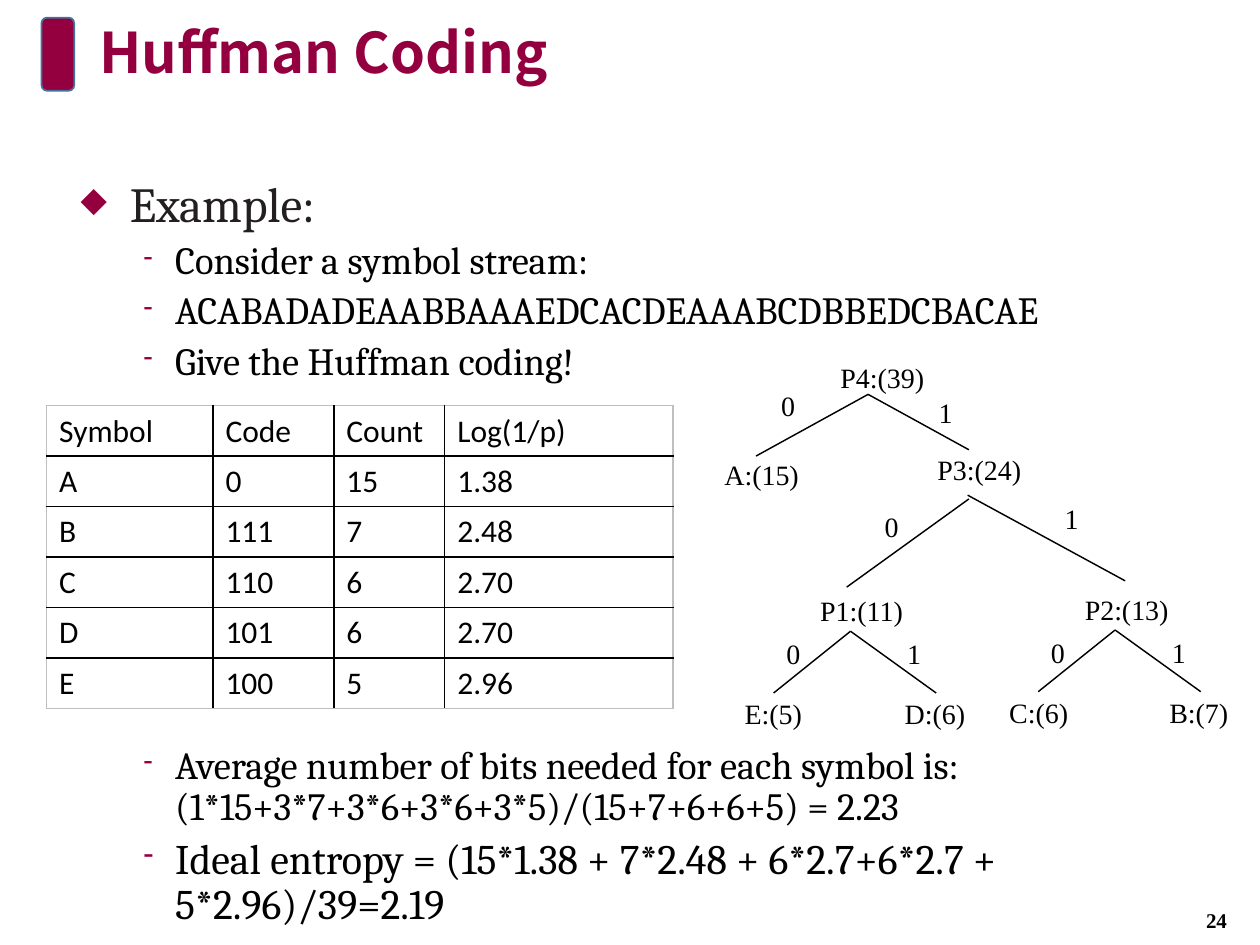
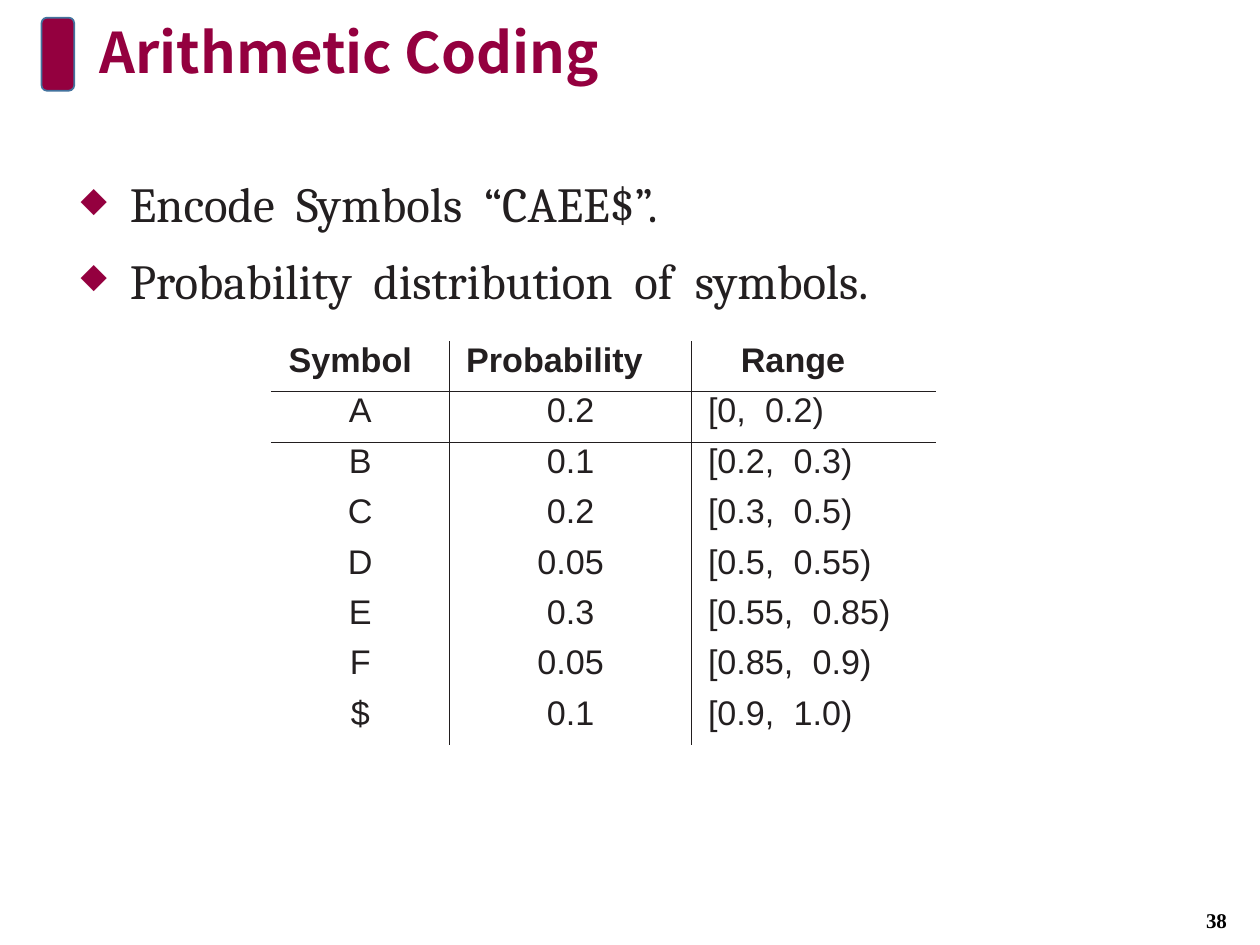
import dataclasses

import pptx
import pptx.dml.color
import pptx.enum.shapes
import pptx.enum.text
import pptx.oxml
import pptx.oxml.ns
import pptx.util
from pptx.util import Inches

ALIGN = pptx.enum.text.PP_ALIGN
ANCHOR = pptx.enum.text.MSO_ANCHOR


@dataclasses.dataclass(frozen=True)
class TextStyle:
    font: str
    size: float
    color: str
    bold: bool = False


@dataclasses.dataclass(frozen=True)
class Line:
    color: str
    width: float


class Theme:
    accent = "94003F"
    tab_line = Line("43739E", 1)
    tree_line = Line("000000", 0.81)
    grid_line = Line("000000", 1)
    frame_line = Line("BFBFBF", 1)
    rule_line = Line("221E1F", 0.6)
    title = TextStyle("Noto Sans CJK SC", 32, accent, True)
    page_number = TextStyle("Times New Roman", 12, "000000", True)
    heading = TextStyle("Cambria", 28, "231F20")
    detail = TextStyle("Cambria", 22, "000000")
    result = TextStyle("Cambria", 24, "000000")
    tree = TextStyle("Times New Roman", 16, "000000")
    code_cell = TextStyle("Calibri", 18, "000000")
    range_head = TextStyle("Arial", 19.5, "231F20", True)
    range_cell = TextStyle("Arial", 19.5, "231F20")
    heading_gap = 6.2
    range_gap = 5.4


def rgb(color):
    return pptx.dml.color.RGBColor.from_string(color)


def set_line(line, look):
    line.color.rgb = rgb(look.color)
    line.width = pptx.util.Pt(look.width)


def add_span(para, text, style, spacing=0):
    span = para.add_run()
    span.text = text
    span.font.name = style.font
    span.font.size = pptx.util.Pt(style.size)
    span.font.bold = style.bold
    span.font.color.rgb = rgb(style.color)
    if spacing:
        span._r.get_or_add_rPr().set("spc", str(round(spacing * 100)))


def add_words(para, text, style, gap=0):
    """Add text whose word spaces are widened by gap points."""
    if not gap:
        add_span(para, text, style)
        return
    for index, word in enumerate(text.split()):
        if index:
            add_span(para, " ", style, gap)
        add_span(para, word, style)


def add_box(page, left, top, width, height, inset=True, wrap=True):
    box = page.shapes.add_textbox(Inches(left), Inches(top), Inches(width), Inches(height))
    frame = box.text_frame
    frame.word_wrap = wrap
    if not inset:
        frame.margin_left = frame.margin_right = frame.margin_top = frame.margin_bottom = 0
    return frame


def set_indent(para, left, first=0):
    props = para._p.get_or_add_pPr()
    props.set("marL", str(Inches(left)))
    props.set("indent", str(Inches(first)))
    return props


def add_bullets(page, top, height, items):
    """Add (level, text, style, word gap) items as one bulleted box."""
    frame = add_box(page, 0.64, top, 8.48, height, inset=False)
    for index, (level, text, style, gap) in enumerate(items):
        para = frame.add_paragraph() if index else frame.paragraphs[0]
        para.level = level
        para.space_before = pptx.util.Pt(5 if level else 10)
        if level:
            para.line_spacing = 0.9
        props = set_indent(para, *((0.75, -0.25) if level else (0.39, -0.39)))
        namespace = pptx.oxml.ns.nsdecls("a")
        for markup in (
            f'<a:buClr {namespace}><a:srgbClr val="{Theme.accent}"/></a:buClr>',
            f'<a:buSzPct {namespace} val="70000"/>',
            f'<a:buChar {namespace} char="{"-" if level else "◆"}"/>',
        ):
            props.append(pptx.oxml.parse_xml(markup))
        add_words(para, text, style, gap)


def add_page(deck, title, number):
    page = deck.slides.add_slide(deck.slide_layouts[6])
    tab = page.shapes.add_shape(
        pptx.enum.shapes.MSO_SHAPE.ROUNDED_RECTANGLE,
        Inches(0.33), Inches(0.14), Inches(0.26), Inches(0.58))
    tab.shadow.inherit = False
    tab.fill.solid()
    tab.fill.fore_color.rgb = rgb(Theme.accent)
    set_line(tab.line, Theme.tab_line)

    frame = add_box(page, 0.69, 0.15, 8.62, 0.58)
    frame.vertical_anchor = ANCHOR.MIDDLE
    frame.paragraphs[0].line_spacing = 0.9
    add_span(frame.paragraphs[0], title, Theme.title)

    frame = add_box(page, 9.23, 7.1, 0.85, 0.4)
    frame.vertical_anchor = ANCHOR.MIDDLE
    frame.paragraphs[0].alignment = ALIGN.CENTER
    add_span(frame.paragraphs[0], str(number), Theme.page_number)
    return page


def add_tree_label(page, text, left, top):
    frame = add_box(page, left + 0.01, top, 0.11 * len(text), 0.28, inset=False, wrap=False)
    add_span(frame.paragraphs[0], text, Theme.tree)


def add_branch(page, start, end):
    branch = page.shapes.add_connector(
        pptx.enum.shapes.MSO_CONNECTOR.STRAIGHT, *map(Inches, start + end))
    set_line(branch.line, Theme.tree_line)
    effects = f'<a:effectLst {pptx.oxml.ns.nsdecls("a")}/>'
    branch._element.spPr.append(pptx.oxml.parse_xml(effects))


def add_leaf_pair(page, left, top, parent, zero_leaf, one_leaf):
    """Add a node with its two leaves; left and top place the node label."""
    peak = (left + 0.25, top + 0.3)
    for text, across, down in (
        (parent, 0, 0), ("0", -0.27, 0.34), ("1", 0.69, 0.34),
        (zero_leaf, -0.6, 0.82), (one_leaf, 0.67, 0.82),
    ):
        add_tree_label(page, text, left + across, top + down)
    for across in (-0.61, 0.68):
        add_branch(page, peak, (peak[0] + across, peak[1] + 0.49))


def add_huffman_tree(page):
    for start, end in (
        ((6.89, 3.13), (6, 3.62)), ((6.89, 3.13), (7.69, 3.57)),
        ((7.69, 3.96), (6.72, 4.66)), ((7.68, 3.93), (8.93, 4.61)),
    ):
        add_branch(page, start, end)
    for text, left, top in (
        ("P4:(39)", 6.66, 2.86), ("0", 6.19, 3.08), ("1", 7.44, 3.14),
        ("A:(15)", 5.74, 3.63), ("P3:(24)", 7.43, 3.59),
        ("0", 7.01, 4.04), ("1", 8.44, 3.98),
    ):
        add_tree_label(page, text, left, top)
    add_leaf_pair(page, 6.5, 4.71, "P1:(11)", "E:(5)", "D:(6)")
    add_leaf_pair(page, 8.6, 4.7, "P2:(13)", "C:(6)", "B:(7)")


def set_borders(cell, sides):
    """Set left, right, top and bottom lines; None leaves a side open."""
    props = cell._tc.get_or_add_tcPr()
    namespace = pptx.oxml.ns.nsdecls("a")
    for index, (side, look) in enumerate(zip("LRTB", sides)):
        width, paint = 0, "<a:noFill/>"
        if look:
            width = pptx.util.Pt(look.width)
            paint = f'<a:solidFill><a:srgbClr val="{look.color}"/></a:solidFill>'
        markup = f'<a:ln{side} {namespace} w="{width}">{paint}</a:ln{side}>'
        props.insert(index, pptx.oxml.parse_xml(markup))


def add_grid(page, left, top, widths, row_height, rows, uprights, levels, write_cell):
    """Add a table; uprights and levels hold the line at each grid edge."""
    table = page.shapes.add_table(
        len(rows), len(widths), Inches(left), Inches(top),
        Inches(sum(widths)), Inches(row_height * len(rows))).table
    table.first_row = table.horz_banding = False
    for column, width in zip(table.columns, widths):
        column.width = Inches(width)
    for r, row in enumerate(rows):
        table.rows[r].height = Inches(row_height)
        for c, text in enumerate(row):
            cell = table.cell(r, c)
            cell.fill.background()
            set_borders(cell, (uprights[c], uprights[c + 1], levels[r], levels[r + 1]))
            write_cell(cell, r, c, text)


def write_code_cell(cell, row, column, text):
    add_span(cell.text_frame.paragraphs[0], text, Theme.code_cell)


def write_range_cell(cell, row, column, text):
    cell.margin_left = cell.margin_right = cell.margin_top = cell.margin_bottom = 0
    para = cell.text_frame.paragraphs[0]
    if row == 0:
        set_indent(para, (0.14, 0.13, 0.39)[column])
        add_span(para, text, Theme.range_head)
    elif column == 2:
        set_indent(para, 0.13)
        add_words(para, text, Theme.range_cell, Theme.range_gap)
    else:
        para.alignment = ALIGN.CENTER
        add_span(para, text, Theme.range_cell)


def build_huffman_page(deck):
    page = add_page(deck, "Huffman Coding", 24)
    add_bullets(page, 1.38, 1.7, [
        (0, "Example:", Theme.heading, 0),
        (1, "Consider a symbol stream:", Theme.detail, 0),
        (1, "ACABADADEAABBAAAEDCACDEAAABCDBBEDCBACAE", Theme.detail, 0),
        (1, "Give the Huffman coding!", Theme.detail, 0),
    ])
    add_bullets(page, 5.92, 1.5, [
        (1, "Average number of bits needed for each symbol is: "
            "(1*15+3*7+3*6+3*6+3*5)/(15+7+6+6+5) = 2.23", Theme.detail, 0),
        (1, "Ideal entropy = (15*1.38 + 7*2.48 + 6*2.7+6*2.7 + 5*2.96)/39=2.19",
            Theme.result, 0),
    ])
    add_huffman_tree(page)
    rows = [
        ("Symbol", "Code", "Count", "Log(1/p)"),
        ("A", "0", "15", "1.38"),
        ("B", "111", "7", "2.48"),
        ("C", "110", "6", "2.70"),
        ("D", "101", "6", "2.70"),
        ("E", "100", "5", "2.96"),
    ]
    frame, grid = [Theme.frame_line], [Theme.grid_line]
    add_grid(page, 0.37, 3.22, (1.32, 0.96, 0.88, 1.81), 0.4, rows,
             frame + grid * 3 + frame, frame + grid * 5 + frame, write_code_cell)


def build_arithmetic_page(deck):
    page = add_page(deck, "Arithmetic Coding", 38)
    add_bullets(page, 1.38, 1.2, [
        (0, text, Theme.heading, Theme.heading_gap)
        for text in ("Encode Symbols “CAEE$”.", "Probability distribution of symbols.")
    ])
    rows = [
        ("Symbol", "Probability", "Range"),
        ("A", "0.2", "[0, 0.2)"),
        ("B", "0.1", "[0.2, 0.3)"),
        ("C", "0.2", "[0.3, 0.5)"),
        ("D", "0.05", "[0.5, 0.55)"),
        ("E", "0.3", "[0.55, 0.85)"),
        ("F", "0.05", "[0.85, 0.9)"),
        ("$", "0.1", "[0.9, 1.0)"),
    ]
    rules = [None] + [Theme.rule_line] * 2
    add_grid(page, 2.15, 2.71, (1.42, 1.92, 1.94), 0.4, rows,
             rules + [None], rules + [None] * 6, write_range_cell)


def main():
    deck = pptx.Presentation()
    deck.slide_width, deck.slide_height = Inches(10), Inches(7.5)
    build_huffman_page(deck)
    build_arithmetic_page(deck)
    deck.save("out.pptx")


if __name__ == "__main__":
    main()
